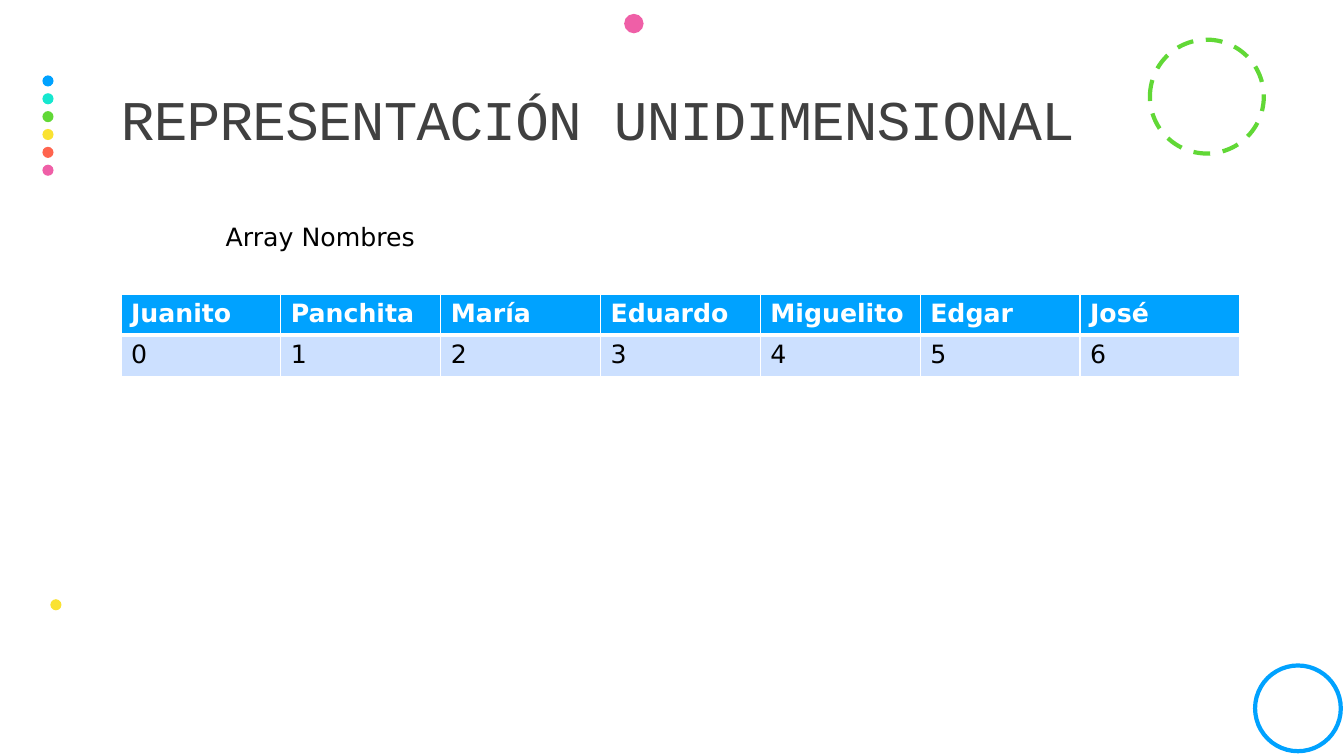
from lxml import etree
from pptx import Presentation
from pptx.dml.color import RGBColor
from pptx.enum.dml import MSO_LINE
from pptx.enum.shapes import MSO_SHAPE
from pptx.enum.text import MSO_ANCHOR
from pptx.oxml.ns import qn
from pptx.util import Cm, Pt

OVAL = MSO_SHAPE.OVAL
DASH = MSO_LINE.DASH
MIDDLE = MSO_ANCHOR.MIDDLE
TOP = MSO_ANCHOR.TOP

COLORS = {
    "blue": "00A2FF",
    "teal": "16E7CF",
    "green": "61D836",
    "yellow": "FAE232",
    "orange": "FF644E",
    "pink": "EF5FA7",
    "title": "404040",
    "pale": "CCE0FF",
    "white": "FFFFFF",
    "black": "000000",
}
BODY_FONT = "DejaVu Sans"
TITLE_FONT = "Courier New"
NAMES = ["Juanito", "Panchita", "María", "Eduardo", "Miguelito", "Edgar", "José"]


def rgb(name):
    """Return the palette colour with this name."""
    return RGBColor.from_string(COLORS[name])


def write_text(frame, text, size=18, font=BODY_FONT, color="black", bold=False,
               spacing=None, line_spacing=None):
    """Write one formatted paragraph into a text frame."""
    paragraph = frame.paragraphs[0]
    if line_spacing:
        paragraph.line_spacing = line_spacing
    run = paragraph.add_run()
    run.text = text
    run.font.size = Pt(size)
    run.font.name = font
    run.font.bold = bold
    run.font.color.rgb = rgb(color)
    if spacing is not None:
        run.font._element.set("spc", str(round(spacing * 100)))


def add_text_box(slide, box, text, anchor=TOP, side_margin=0.25, **text_format):
    """Add a wrapping text box; box is left, top, width, height in cm."""
    frame = slide.shapes.add_textbox(*map(Cm, box)).text_frame
    frame.word_wrap = True
    frame.vertical_anchor = anchor
    frame.margin_left = frame.margin_right = Cm(side_margin)
    write_text(frame, text, **text_format)


def add_circle(slide, left, top, diameter, fill=None, outline=None, dash=None):
    """Add a filled or outlined circle, measured in cm."""
    shape = slide.shapes.add_shape(OVAL, Cm(left), Cm(top), Cm(diameter), Cm(diameter))
    shape.shadow.inherit = False
    if fill:
        shape.fill.solid()
        shape.fill.fore_color.rgb = rgb(fill)
    else:
        shape.fill.background()
    if outline:
        shape.line.color.rgb = rgb(outline)
        shape.line.width = Pt(3)
        if dash:
            shape.line.dash_style = dash
    else:
        shape.line.fill.background()


def add_dot_column(slide, left, top, pitch, diameter):
    """Stack the coloured dots downwards from the given corner."""
    dots = ["blue", "teal", "green", "yellow", "orange", "pink"]
    for index, color in enumerate(dots):
        add_circle(slide, left, top + index * pitch, diameter, fill=color)


def add_decoration(slide):
    """Place the dots and rings around the slide edges."""
    add_dot_column(slide, 1.07, 1.9, pitch=0.45, diameter=0.28)
    add_circle(slide, 28.98, 1, 2.87, outline="green", dash=DASH)
    add_circle(slide, 15.73, 0.35, 0.49, fill="pink")
    add_circle(slide, 1.27, 15.1, 0.28, fill="yellow")
    add_circle(slide, 31.63, 16.77, 2.16, outline="blue")


def set_borders(cell, **widths):
    """Draw white borders on a cell, with widths in points by side."""
    properties = cell._tc.get_or_add_tcPr()
    for side in "LRTB":
        line = etree.SubElement(properties, qn(f"a:ln{side}"), w=str(Pt(widths.get(side, 1))))
        fill = etree.SubElement(line, qn("a:solidFill"))
        etree.SubElement(fill, qn("a:srgbClr"), val=COLORS["white"])


def fill_cell(cell, text, fill, borders, **text_format):
    """Format one table cell and write its text."""
    set_borders(cell, **borders)
    cell.fill.solid()
    cell.fill.fore_color.rgb = rgb(fill)
    write_text(cell.text_frame, text, **text_format)


def add_array_table(slide, box, names):
    """Show the names above their array indexes."""
    left, top, width, height = map(Cm, box)
    table = slide.shapes.add_table(2, len(names), left, top, width, height).table
    for index, name in enumerate(names):
        fill_cell(table.cell(0, index), name, "blue", {"B": 3}, color="white", bold=True)
        fill_cell(table.cell(1, index), str(index), "pale", {"T": 3})


def build():
    """Build and save the presentation."""
    presentation = Presentation()
    presentation.slide_width, presentation.slide_height = Cm(33.87), Cm(19.05)
    slide = presentation.slides.add_slide(presentation.slide_layouts[6])
    add_decoration(slide)
    add_text_box(slide, (3.05, 1.17, 27.94, 3.81), "REPRESENTACIÓN UNIDIMENSIONAL",
                 anchor=MIDDLE, side_margin=0, size=40, font=TITLE_FONT,
                 color="title", spacing=-0.5, line_spacing=0.9)
    add_array_table(slide, (3.05, 7.42, 28.2, 2.06), NAMES)
    add_text_box(slide, (5.44, 5.44, 6.86, 1.02), "Array Nombres")
    presentation.save("out.pptx")


build()
